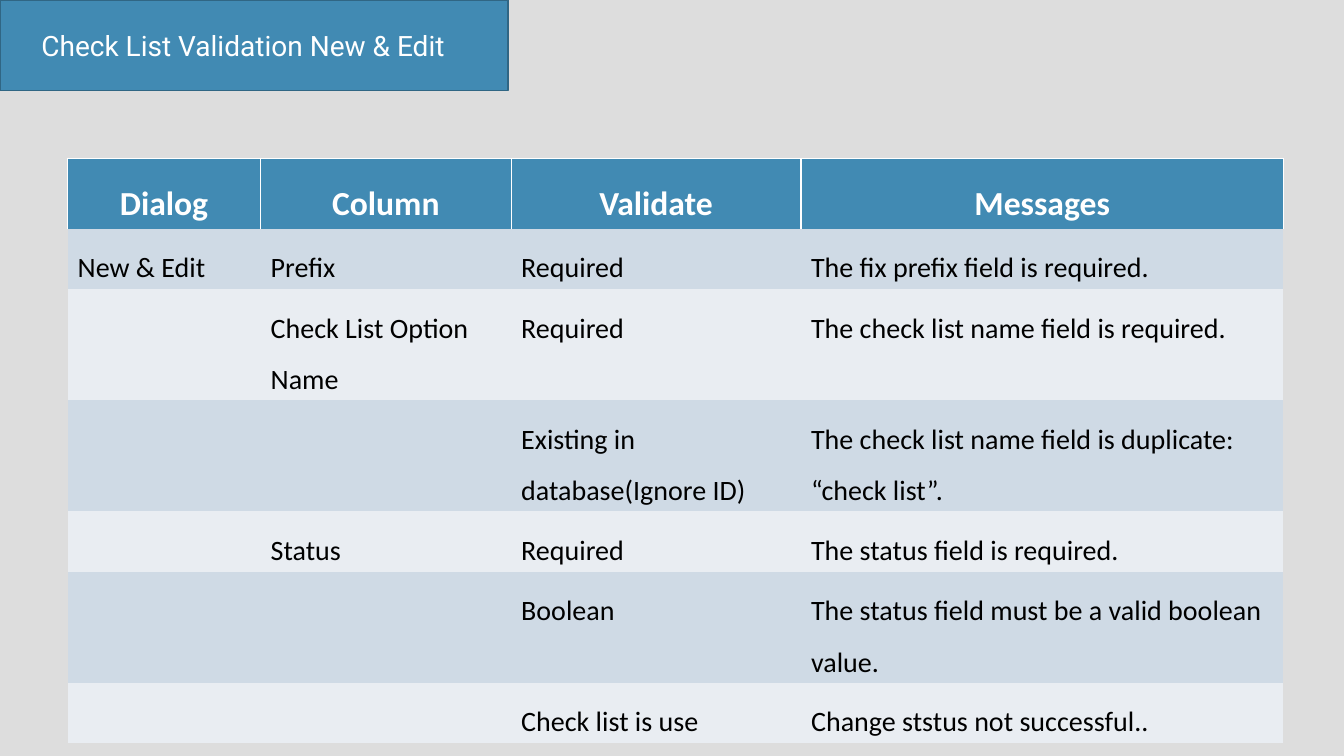
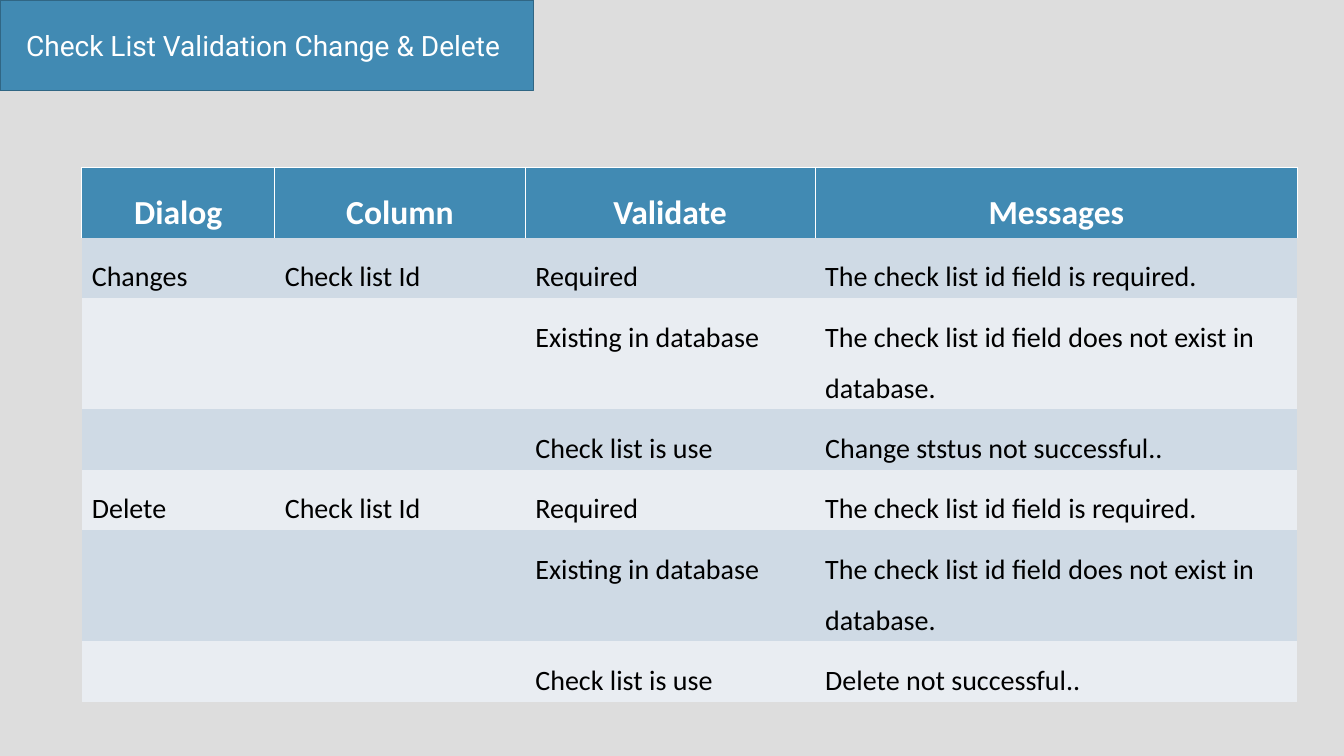
from dataclasses import dataclass
from typing import Any

from lxml import etree
from pptx import Presentation
from pptx.dml.color import RGBColor
from pptx.enum.shapes import MSO_SHAPE
from pptx.enum.text import MSO_ANCHOR, MSO_AUTO_SIZE, PP_ALIGN
from pptx.oxml.ns import qn
from pptx.util import Inches, Pt

RECTANGLE = MSO_SHAPE.RECTANGLE
TOP = MSO_ANCHOR.TOP
FIT_SHAPE = MSO_AUTO_SIZE.SHAPE_TO_FIT_TEXT
LEFT, CENTER = PP_ALIGN.LEFT, PP_ALIGN.CENTER

SLIDE_WIDTH, SLIDE_HEIGHT = Inches(13.33), Inches(7.5)
TITLE_ONLY = 5
PLAIN_TABLE_STYLE = "{2D5ABB26-0587-4C30-8999-92F81FD0307C}"

BACKGROUND, BLUE, DARK_BLUE = "DDDDDD", "418AB3", "306684"
WHITE, BLACK = "FFFFFF", "000000"
STRIPES = ("CFDAE5", "E9EDF2")

BAND_HEIGHT, TITLE_TOP, TITLE_HEIGHT = 12, 3.07, 5.87
COLUMN_SHARES = (14.36, 18.64, 21.57, 35.89)
HEADINGS = ("Dialog", "Column", "Validate", "Messages")

TITLE_FRAME = {"word_wrap": False, "auto_size": FIT_SHAPE, "vertical_anchor": TOP}
TITLE_FONT = {"name": "Roboto", "size": Pt(20), "bold": False}
HEADING_FONT = {"name": "Calibri", "size": Pt(24), "bold": True}
BODY_FONT = {"name": "Calibri", "size": Pt(20), "bold": False}
TABLE_FLAGS = {"first_row": False, "horz_banding": False}


@dataclass(frozen=True)
class Checklist:
    """Horizontal and vertical lengths are percentages of the slide's size."""

    title: str
    band_width: float
    title_left: float
    title_width: float
    table_left: float
    table_top: float
    heading_height: float
    row_height: float
    rows: tuple[tuple[str, str, str, str], ...]


CHECKLISTS = (
    Checklist(
        "Check List Validation New & Edit",
        37.81, 2.33, 31.58, 5.03, 20.93, 9.07, 7.73,
        (
            ("New & Edit", "Prefix", "Required", "The fix prefix field is required."),
            ("", "Check List Option Name", "Required", "The check list name field is required."),
            ("", "", "Existing in database(Ignore ID)",
             "The check list name field is duplicate: “check list”."),
            ("", "Status", "Required", "The status field is required."),
            ("", "", "Boolean", "The status field must be a valid boolean value."),
            ("", "", "Check list is use", "Change ststus not successful.."),
        ),
    ),
    Checklist(
        "Check List Validation Change & Delete",
        39.68, 1.2, 36.91, 6.08, 22.13, 8.4, 7.2,
        tuple(
            row
            for dialog, failure in (
                ("Changes", "Change ststus not successful.."),
                ("Delete", "Delete not successful.."),
            )
            for row in (
                (dialog, "Check list Id", "Required", "The check list id field is required."),
                ("", "", "Existing in database",
                 "The check list id field does not exist in database."),
                ("", "", "Check list is use", failure),
            )
        ),
    ),
)


def across(share: float) -> int:
    return round(SLIDE_WIDTH * share / 100)


def down(share: float) -> int:
    return round(SLIDE_HEIGHT * share / 100)


def apply(target: Any, values: dict[str, Any]) -> None:
    for name, value in values.items():
        setattr(target, name, value)


def paint(fill: Any, color: str) -> None:
    fill.solid()
    fill.fore_color.rgb = RGBColor.from_string(color)


def write(para: Any, text: str, font: dict[str, Any], color: str, align: Any) -> None:
    para.alignment = align
    span = para.add_run()
    span.text = text
    apply(span.font, font)
    paint(span.font.fill, color)


def add_title(page: Any, checklist: Checklist) -> None:
    band = page.shapes.add_shape(
        RECTANGLE, 0, 0, across(checklist.band_width), down(BAND_HEIGHT)
    )
    band.shadow.inherit = False
    paint(band.fill, BLUE)
    paint(band.line.fill, DARK_BLUE)
    band.line.width = Pt(1)

    title = page.shapes.title
    title.element.addprevious(band.element)
    apply(title, {
        "left": across(checklist.title_left),
        "top": down(TITLE_TOP),
        "width": across(checklist.title_width),
        "height": down(TITLE_HEIGHT),
    })
    apply(title.text_frame, TITLE_FRAME)
    write(title.text_frame.paragraphs[0], checklist.title, TITLE_FONT, WHITE, LEFT)


def add_borders(cell: Any, color: str) -> None:
    properties = cell._tc.get_or_add_tcPr()
    for side in ("a:lnL", "a:lnR", "a:lnT"):
        line = etree.SubElement(properties, qn(side), w=str(Pt(1)))
        fill = etree.SubElement(line, qn("a:solidFill"))
        etree.SubElement(fill, qn("a:srgbClr"), val=color)


def fill_cell(cell: Any, text: str, row: int) -> None:
    heading = row == 0
    if heading:
        add_borders(cell, WHITE)
    paint(cell.fill, BLUE if heading else STRIPES[(row - 1) % 2])
    if not text:
        return
    para = cell.text_frame.paragraphs[0]
    para.line_spacing = 1.5
    if heading:
        write(para, text, HEADING_FONT, WHITE, CENTER)
    else:
        write(para, text, BODY_FONT, BLACK, LEFT)


def add_checks(page: Any, checklist: Checklist) -> None:
    rows = (HEADINGS, *checklist.rows)
    heights = [checklist.heading_height] + [checklist.row_height] * len(checklist.rows)
    frame = page.shapes.add_table(
        len(rows), len(HEADINGS),
        across(checklist.table_left), down(checklist.table_top),
        across(sum(COLUMN_SHARES)), down(sum(heights)),
    )
    table = frame.table
    apply(table, TABLE_FLAGS)
    frame.element.find(".//" + qn("a:tableStyleId")).text = PLAIN_TABLE_STYLE
    for column, share in zip(table.columns, COLUMN_SHARES):
        column.width = across(share)
    for index, (texts, height) in enumerate(zip(rows, heights)):
        table.rows[index].height = down(height)
        for cell, text in zip(table.rows[index].cells, texts):
            fill_cell(cell, text, index)


def main() -> None:
    deck = Presentation()
    apply(deck, {"slide_width": SLIDE_WIDTH, "slide_height": SLIDE_HEIGHT})
    paint(deck.slide_master.background.fill, BACKGROUND)
    for checklist in CHECKLISTS:
        page = deck.slides.add_slide(deck.slide_layouts[TITLE_ONLY])
        add_title(page, checklist)
        add_checks(page, checklist)
    deck.save("out.pptx")


if __name__ == "__main__":
    main()
